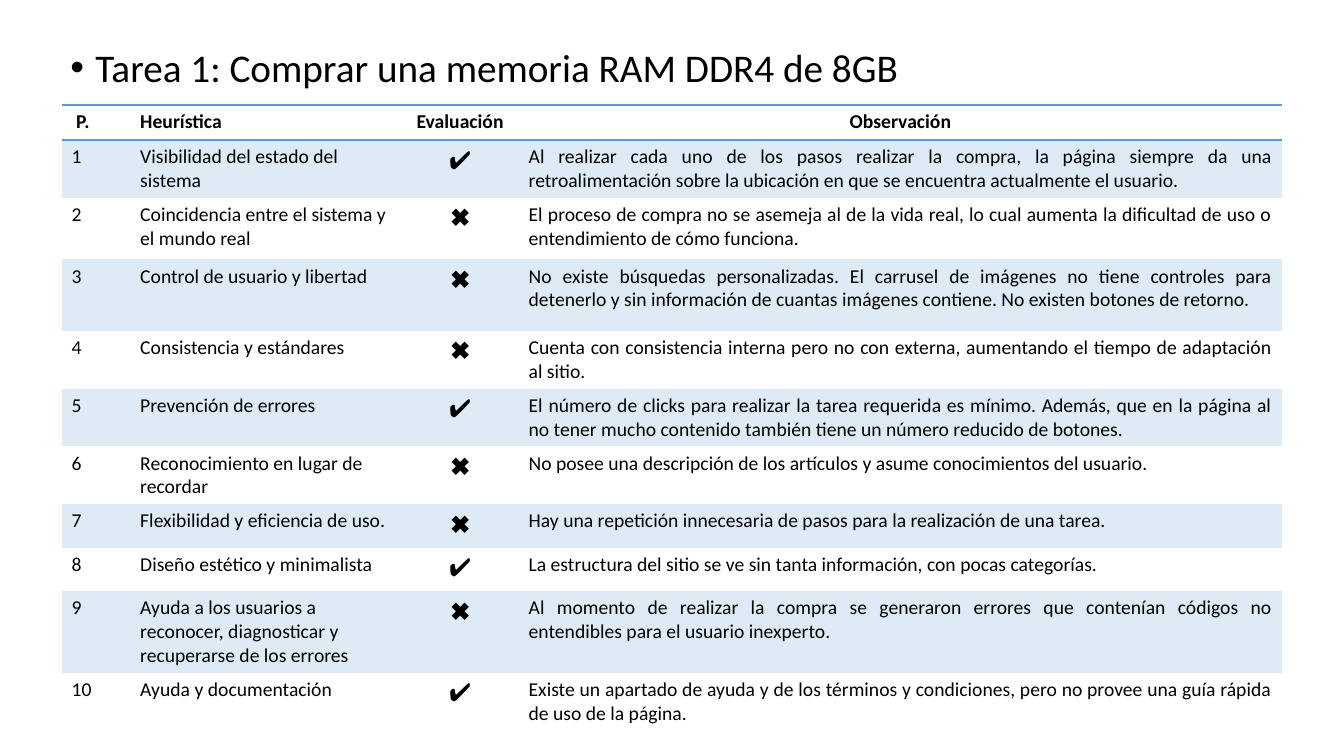
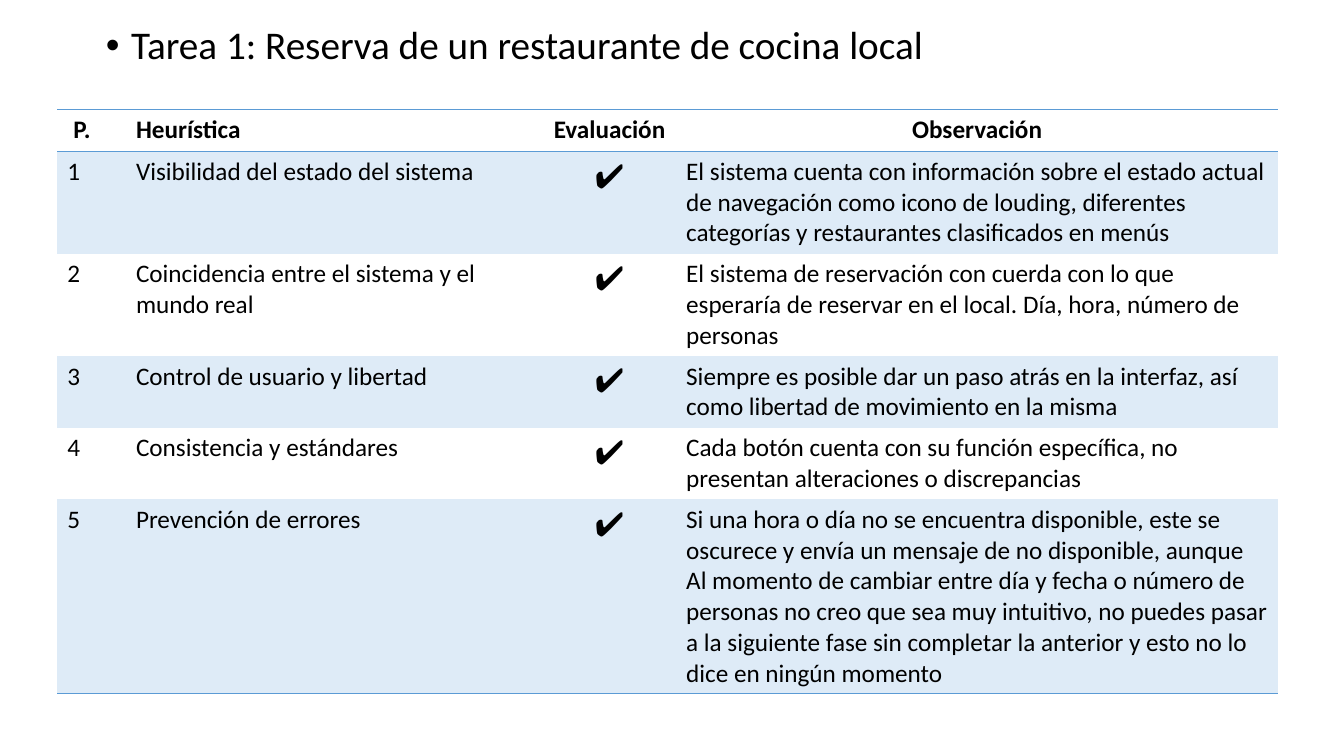
"""Build two slides that rate web tasks against usability heuristics."""
import pptx
import pptx.dml.color
import pptx.enum.text
import pptx.oxml.ns
import pptx.util
from lxml import etree

Pt = pptx.util.Pt
qn = pptx.oxml.ns.qn
ALIGN = pptx.enum.text.PP_ALIGN
HUES = {"text": "000000", "line": "5B9BD5", "band": "DEEBF7"}
FACE = "Calibri"
PLAIN = "{2D5ABB26-0587-4C30-8999-92F81FD0307C}"
HEADS = ["P.", "Heurística", "Evaluación", "Observación"]
YES, NO = "✔️", "✖️"

RULES = [
    "Visibilidad del estado del sistema",
    "Coincidencia entre el sistema y el mundo real",
    "Control de usuario y libertad",
    "Consistencia y estándares",
    "Prevención de errores",
    "Reconocimiento en lugar de recordar",
    "Flexibilidad y eficiencia de uso.",
    "Diseño estético y minimalista",
    "Ayuda a los usuarios a reconocer, diagnosticar y recuperarse de los errores",
    "Ayuda y documentación",
]

SHOP = [
    (YES, "Al realizar cada uno de los pasos realizar la compra, la página siempre da una retroalimentación sobre la ubicación en que se encuentra actualmente el usuario."),
    (NO, "El proceso de compra no se asemeja al de la vida real, lo cual aumenta la dificultad de uso o entendimiento de cómo funciona."),
    (NO, "No existe búsquedas personalizadas. El carrusel de imágenes no tiene controles para detenerlo y sin información de cuantas imágenes contiene. No existen botones de retorno."),
    (NO, "Cuenta con consistencia interna pero no con externa, aumentando el tiempo de adaptación al sitio."),
    (YES, "El número de clicks para realizar la tarea requerida es mínimo. Además, que en la página al no tener mucho contenido también tiene un número reducido de botones."),
    (NO, "No posee una descripción de los artículos y asume conocimientos del usuario."),
    (NO, "Hay una repetición innecesaria de pasos para la realización de una tarea."),
    (YES, "La estructura del sitio se ve sin tanta información, con pocas categorías."),
    (NO, "Al momento de realizar la compra se generaron errores que contenían códigos no entendibles para el usuario inexperto."),
    (YES, "Existe un apartado de ayuda y de los términos y condiciones, pero no provee una guía rápida de uso de la página."),
]

TABLE = [
    (YES, "El sistema cuenta con información sobre el estado actual de navegación como icono de louding, diferentes categorías y restaurantes clasificados en menús"),
    (YES, "El sistema de reservación con cuerda con lo que esperaría de reservar en el local. Día, hora, número de personas"),
    (YES, "Siempre es posible dar un paso atrás en la interfaz, así como libertad de movimiento en la misma"),
    (YES, "Cada botón cuenta con su función específica, no presentan alteraciones o discrepancias"),
    (YES, "Si una hora o día no se encuentra disponible, este se oscurece y envía un mensaje de no disponible, aunque\nAl momento de cambiar entre día y fecha o número de personas no creo que sea muy intuitivo, no puedes pasar a la siguiente fase sin completar la anterior y esto no lo dice en ningún momento"),
]


class Deck:
    """Hold the shared style and the current slide."""

    def __init__(self):
        """Start an empty wide deck."""
        self.prs = pptx.Presentation()
        self.prs.slide_width, self.prs.slide_height = Pt(960), Pt(540)

    def style(self, frame, size, bold=False, align=ALIGN.LEFT):
        """Format all text in a frame."""
        look = {"name": FACE, "size": Pt(size), "bold": bold}
        for para in frame.paragraphs:
            para.alignment = align
            for run in para.runs:
                for key, value in look.items():
                    setattr(run.font, key, value)
                run.font.color.rgb = pptx.dml.color.RGBColor.from_string(HUES["text"])

    def title(self, text, left, top):
        """Add a slide with a bulleted title."""
        self.slide = self.prs.slides.add_slide(self.prs.slide_layouts[5])
        shape = self.slide.shapes.title
        place = {"left": left, "top": top, "width": 870, "height": 55}
        for key, value in place.items():
            setattr(shape, key, Pt(value))
        frame = shape.text_frame
        frame.text = text
        form = {"auto_size": pptx.enum.text.MSO_AUTO_SIZE.NONE, "word_wrap": True,
                "vertical_anchor": pptx.enum.text.MSO_ANCHOR.TOP}
        for key, value in form.items():
            setattr(frame, key, value)
        para = frame.paragraphs[0]
        para.line_spacing = 0.9
        para.space_before = Pt(0)
        props = para._p.get_or_add_pPr()
        props.set("marL", str(Pt(18)))
        props.set("indent", str(-Pt(18)))
        etree.SubElement(props, qn("a:buFont"), typeface="Arial")
        etree.SubElement(props, qn("a:buChar"), char="•")
        self.style(frame, 28)

    def rule(self, cell, side):
        """Draw a cell border on the top or bottom."""
        line = etree.SubElement(cell._tc.get_or_add_tcPr(), qn("a:ln" + side), w=str(Pt(1)))
        fill = etree.SubElement(line, qn("a:solidFill"))
        etree.SubElement(fill, qn("a:srgbClr"), val=HUES["line"])

    def grid(self, notes, left, top, cols, rows, size, mark, align):
        """Add the table of ratings."""
        data = [HEADS] + [[str(num), rule, *note]
                          for num, (rule, note) in enumerate(zip(RULES, notes), 1)]
        table = self.slide.shapes.add_table(
            len(rows), len(cols), Pt(left), Pt(top), Pt(sum(cols)), Pt(sum(rows))).table
        table._tbl.tblPr[0].text = PLAIN
        table.first_row = table.horz_banding = False
        for col, width in zip(table.columns, cols):
            col.width = Pt(width)
        for row, high in zip(table.rows, rows):
            row.height = Pt(high)
        for i, line in enumerate(data):
            for j, text in enumerate(line):
                cell = table.cell(i, j)
                cell.text = text
                if i == 0:
                    self.rule(cell, "T")
                if i in (0, len(data) - 1):
                    self.rule(cell, "B")
                if i % 2:
                    cell.fill.solid()
                    cell.fill.fore_color.rgb = pptx.dml.color.RGBColor.from_string(HUES["band"])
                else:
                    cell.fill.background()
                sides = [ALIGN.LEFT, ALIGN.LEFT, ALIGN.CENTER, align if i else ALIGN.CENTER]
                self.style(cell.text_frame, mark if i and j == 2 else size, i == 0, sides[j])
        table.cell(0, 0).margin_left = Pt(7.2 + size * 0.23)


def main():
    """Build and save the deck."""
    deck = Deck()
    deck.title("Tarea 1: Comprar una memoria RAM DDR4 de 8GB", 43, 31)
    deck.grid(SHOP, 44, 75, [49, 194, 83.5, 545.5],
              [25, 31, 44, 51, 31, 31, 31, 31, 31, 44, 62], 14, 18, ALIGN.JUSTIFY)
    deck.title("Tarea 1: Reserva de un restaurante de cocina local", 68.4, 15)
    deck.grid(TABLE, 41, 78, [49, 298, 95, 430],
              [30, 30, 50, 30, 36, 36], 18, 24, ALIGN.LEFT)
    deck.prs.save("out.pptx")


if __name__ == "__main__":
    main()
